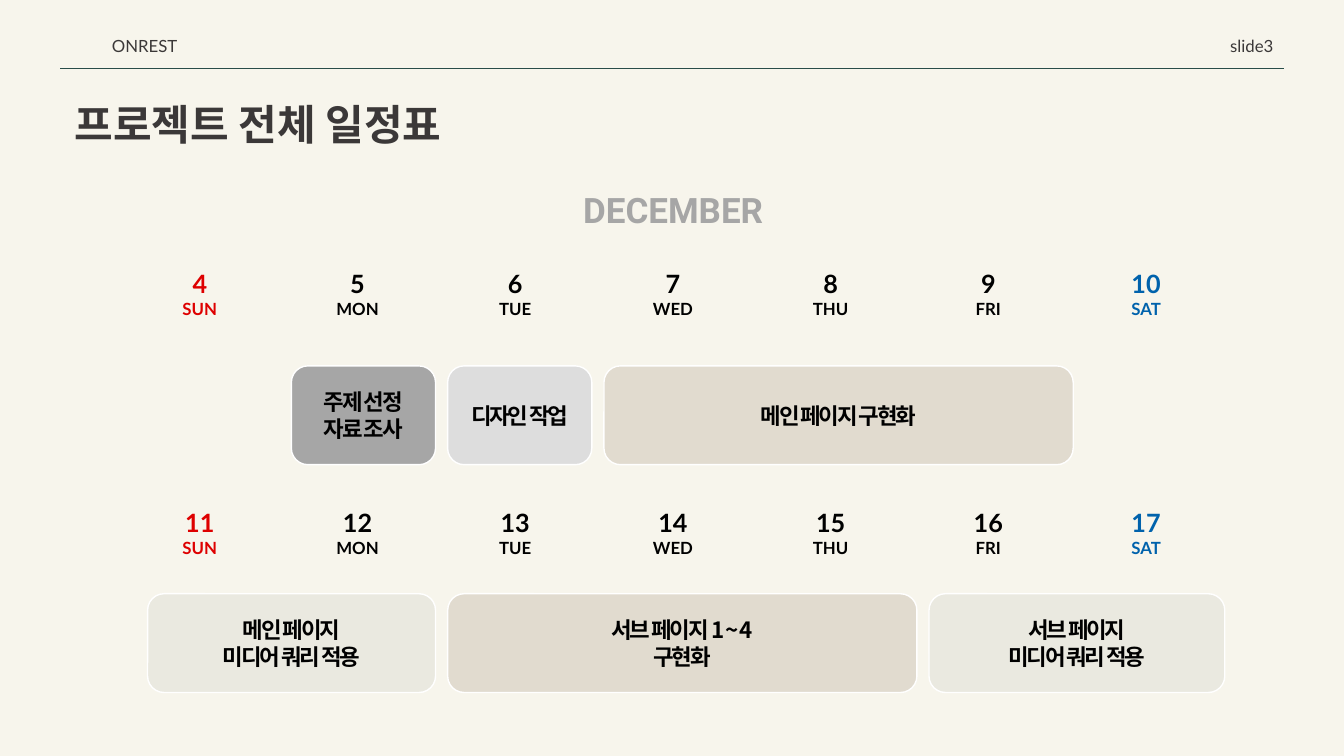
from lxml import etree
from pptx import Presentation, util as u
from pptx.dml import color
from pptx.enum import shapes, text
from pptx.oxml import ns

MID, TOP = text.MSO_ANCHOR.MIDDLE, text.MSO_ANCHOR.TOP
LEFT, CENTER, RIGHT = text.PP_ALIGN.LEFT, text.PP_ALIGN.CENTER, text.PP_ALIGN.RIGHT
KOREAN = "Noto Sans CJK KR"
NO_STYLE = "{2D5ABB26-0587-4C30-8999-92F81FD0307C}"
SMALL = {"name": "Lato", "size": u.Pt(12), "color": "3B3838"}
TITLE = {"name": KOREAN, "size": u.Pt(30), "bold": True, "color": "3B3838"}
MONTH = {"name": "Roboto", "size": u.Pt(25), "bold": True, "color": "A6A6A6"}
TASK = {"name": KOREAN, "size": u.Pt(16), "bold": True, "color": "000000", "spc": -150}
DATE = {"name": "Lato", "size": u.Pt(18), "bold": True}
DAYS = ["SUN", "MON", "TUE", "WED", "THU", "FRI", "SAT"]
DAY_COLORS = {"SUN": "DE0000", "SAT": "0062AC"}
WEEKS = [(4, 34.93), (11, 66.53)]
TASKS = [
    (1, 0, 1, "A6A6A6", ["주제 선정", "자료 조사"]),
    (2, 0, 1, "DDDDDD", ["디자인 작업"]),
    (3, 0, 3.08, "E1DBCF", ["메인 페이지 구현화"]),
    (0.08, 2, 1.92, "EAE9E0", ["메인 페이지", "미디어 쿼리 적용"]),
    (2, 2, 3.08, "E1DBCF", ["서브 페이지 1 ~ 4", "구현화"]),
    (5.08, 2, 1.97, "EAE9E0", ["서브 페이지", "미디어 쿼리 적용"]),
]


def rgb(value):
    """Turn a hex string into a colour."""
    return color.RGBColor.from_string(value)


class Schedule:
    """Hold the current slide, its grid and its drawing methods."""

    def __init__(self, prs):
        """Add a title-only slide with a plain background."""
        self.width, self.height = prs.slide_width, prs.slide_height
        self.left, self.top = u.Inches(1.34), u.Inches(3.63)
        self.col, self.row = u.Inches(1.55), u.Inches(1.13)
        self.gap, self.box = u.Inches(0.12), u.Inches(0.98)
        self.slide = prs.slides.add_slide(prs.slide_layouts[5])
        fill = self.slide.background.fill
        fill.solid()
        fill.fore_color.rgb = rgb("F7F5EC")

    def share(self, x, y, w, h):
        """Turn percentages of the slide into lengths."""
        sizes = (self.width, self.height) * 2
        return [u.Emu(int(n * size / 100)) for n, size in zip((x, y, w, h), sizes)]

    def put_lines(self, tf, lines, align, anchor=MID):
        """Fill a text frame with (text, format) lines."""
        tf.word_wrap, tf.vertical_anchor = True, anchor
        for i, (words, style) in enumerate(lines):
            p = tf.add_paragraph() if i else tf.paragraphs[0]
            p.alignment = align
            r = p.add_run()
            r.text = words
            for key, value in style.items():
                if key == "color":
                    r.font.color.rgb = rgb(value)
                elif key == "spc":
                    r._r.get_or_add_rPr().set("spc", str(value))
                else:
                    setattr(r.font, key, value)
            etree.SubElement(r._r.get_or_add_rPr(), ns.qn("a:ea"), typeface=style["name"])

    def title(self, words, area):
        """Place and format the title."""
        sp = self.slide.shapes.title
        sp.left, sp.top, sp.width, sp.height = self.share(*area)
        self.put_lines(sp.text_frame, [(words, TITLE)], LEFT, TOP)
        sp.text_frame.auto_size = text.MSO_AUTO_SIZE.NONE

    def label(self, words, area, style, align, anchor=MID):
        """Add a text box."""
        sp = self.slide.shapes.add_textbox(*self.share(*area))
        self.put_lines(sp.text_frame, [(words, style)], align, anchor)

    def rule(self, x1, x2, y):
        """Add a horizontal line."""
        ends = self.share(x1, y, x2, y)
        sp = self.slide.shapes.add_connector(shapes.MSO_CONNECTOR.STRAIGHT, *ends)
        sp.line.color.rgb, sp.line.width = rgb("294D49"), u.Pt(1)
        etree.SubElement(sp.element.spPr, ns.qn("a:effectLst"))

    def week(self, first, y):
        """Add a one-row table of seven dates."""
        area = self.share(9, y, 82.14, 8)
        frame = self.slide.shapes.add_table(1, len(DAYS), *area)
        table = frame.table
        table.first_row = table.horz_banding = False
        next(frame.element.iter(ns.qn("a:tableStyleId"))).text = NO_STYLE
        for i, day in enumerate(DAYS):
            cell = table.cell(0, i)
            cell.fill.background()
            style = {**DATE, "color": DAY_COLORS.get(day, "000000")}
            lines = [(str(first + i), style), (day, {**style, "size": u.Pt(12)})]
            self.put_lines(cell.text_frame, lines, CENTER, TOP)

    def task(self, col, row, span, fill, lines):
        """Add a rounded task box over a span of grid columns."""
        sp = self.slide.shapes.add_shape(
            shapes.MSO_SHAPE.ROUNDED_RECTANGLE,
            int(self.left + col * self.col), self.top + row * self.row,
            int(span * self.col - self.gap), self.box)
        sp.shadow.inherit = False
        sp.fill.solid()
        sp.fill.fore_color.rgb = rgb(fill)
        sp.line.color.rgb, sp.line.width = rgb("FFFFFF"), u.Pt(1)
        self.put_lines(sp.text_frame, [(line, TASK) for line in lines], CENTER)


def main():
    """Build and save the schedule slide."""
    prs = Presentation()
    prs.slide_width, prs.slide_height = u.Inches(13.33), u.Inches(7.5)
    s = Schedule(prs)
    s.rule(4.5, 95.5, 9.07)
    s.label("ONREST", (3.83, 3.33, 13.88, 5.33), SMALL, CENTER)
    s.title("프로젝트 전체 일정표", (4.8, 12.4, 78.47, 8.13))
    s.label("slide3", (79.89, 3.33, 15.6, 5.33), SMALL, RIGHT)
    s.label("DECEMBER", (40.89, 24.27, 18.38, 6.93), MONTH, CENTER, TOP)
    for first, y in WEEKS:
        s.week(first, y)
    for task in TASKS:
        s.task(*task)
    prs.save("out.pptx")


if __name__ == "__main__":
    main()
